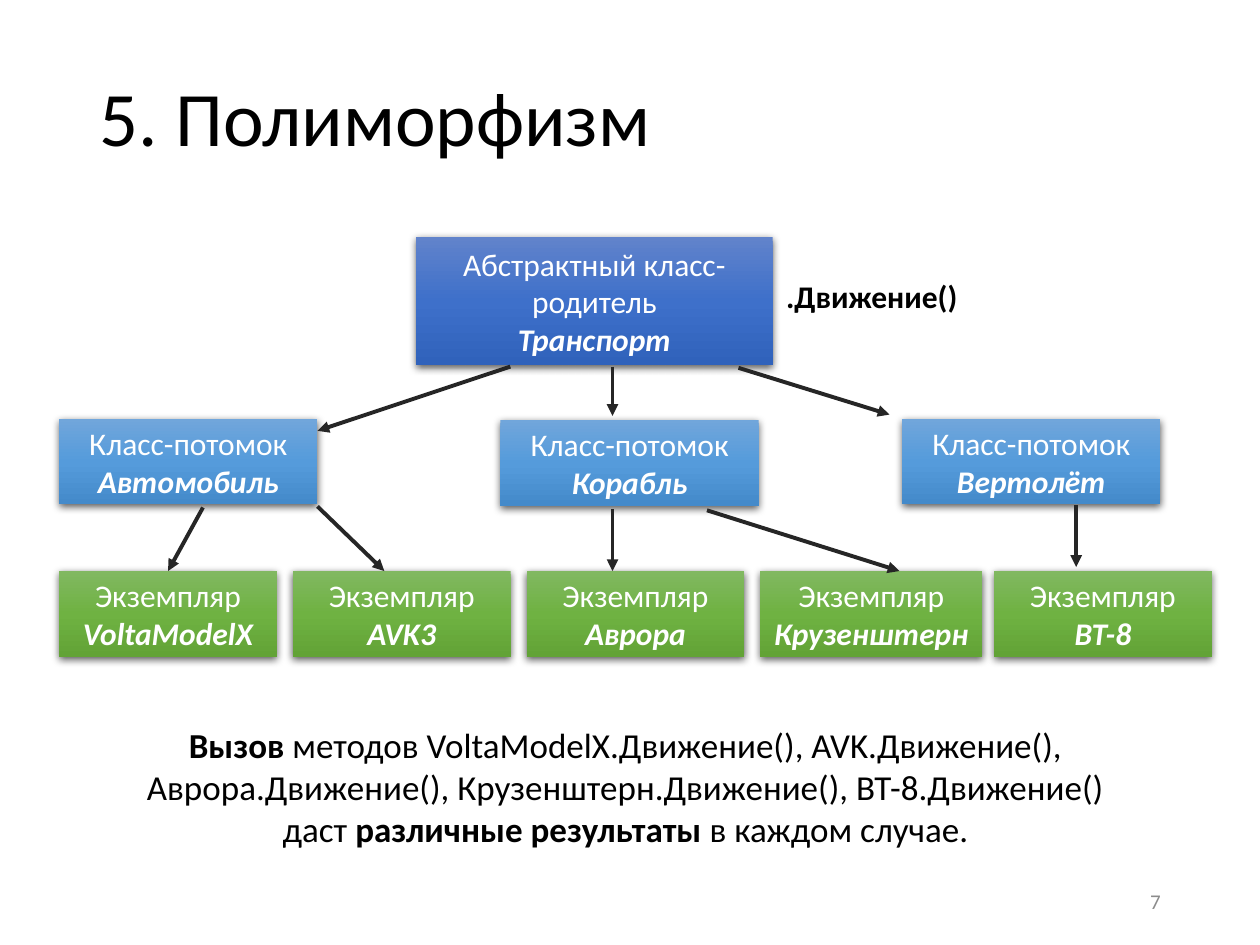
import copy
from dataclasses import dataclass

import pptx
import pptx.dml.color
import pptx.enum.shapes
import pptx.enum.text
import pptx.oxml
import pptx.oxml.ns
import pptx.util

Pt = pptx.util.Pt
RGB = pptx.dml.color.RGBColor.from_string
qn = pptx.oxml.ns.qn
ALIGN = pptx.enum.text.PP_ALIGN
ANCHOR = pptx.enum.text.MSO_ANCHOR
FIT = pptx.enum.text.MSO_AUTO_SIZE
SHADOW = (
    '<a:effectLst %s><a:outerShdw blurRad="57150" dist="19050" dir="5400000" '
    'algn="ctr" rotWithShape="0"><a:srgbClr val="000000"><a:alpha val="63000"/>'
    '</a:srgbClr></a:outerShdw></a:effectLst>' % pptx.oxml.ns.nsdecls("a")
)


@dataclass(frozen=True)
class Theme:
    font: str = "Calibri"
    ink: str = "000000"
    light: str = "FFFFFF"
    grey: str = "8C8C8C"
    line: str = "262626"
    parent: tuple = ("6183CB", "3E70CA", "3062BB")
    child: tuple = ("71A6DB", "559BDB", "448ACA")
    sample: tuple = ("81B861", "6FB242", "62A336")
    title: int = 44
    body: int = 20
    label: int = 18
    small: int = 12
    stroke: float = 2.25


def apply(target, values):
    for name, value in values.items():
        setattr(target, name, value)


class Painter:
    """Holds the theme and the slide being drawn; lengths are in points."""

    def __init__(self, slide, theme):
        self.slide = slide
        self.theme = theme

    def put(self, frame, runs, size, color, align, **form):
        """Fill a frame with (text, font values) runs; a newline is a line break."""
        apply(frame, {"word_wrap": True, **form})
        para = frame.paragraphs[0]
        para.alignment = align
        for text, style in runs:
            for index, part in enumerate(text.split("\n")):
                if index:
                    para.add_line_break()
                if part:
                    run = para.add_run()
                    run.text = part
                    apply(run.font, {"name": self.theme.font, "size": Pt(size), **style})
                    run.font.color.rgb = RGB(color)
        return para

    def title(self, text, left, top, width, height):
        shape = self.slide.shapes.title
        apply(shape, {"left": Pt(left), "top": Pt(top),
                      "width": Pt(width), "height": Pt(height)})
        para = self.put(shape.text_frame, [(text, {})], self.theme.title,
                        self.theme.ink, ALIGN.LEFT, vertical_anchor=ANCHOR.MIDDLE)
        para.line_spacing = 0.9

    def text(self, runs, spot, size, color, align, **form):
        box = self.slide.shapes.add_textbox(*map(Pt, spot))
        self.put(box.text_frame, runs, size, color, align, **form)

    def box(self, kind, name, spot, colors):
        shape = self.slide.shapes.add_shape(
            pptx.enum.shapes.MSO_SHAPE.RECTANGLE, *map(Pt, spot))
        shape.line.fill.background()
        shape.fill.gradient()
        shape.fill.gradient_angle = 270
        props = shape._element.spPr
        stops = props.find(".//" + qn("a:gsLst"))
        stops.append(copy.deepcopy(stops[0]))
        for stop, place, color in zip(shape.fill.gradient_stops, (0, 0.5, 1), colors):
            stop.position = place
            stop.color.rgb = RGB(color)
        props.append(pptx.oxml.parse_xml(SHADOW))
        self.put(shape.text_frame,
                 [(kind + "\n", {}), (name, {"bold": True, "italic": True})],
                 self.theme.label, self.theme.light, ALIGN.CENTER,
                 vertical_anchor=ANCHOR.MIDDLE)
        return shape

    def arrow(self, start, end, goal=None):
        """Draw an arrow; a goal box is joined at the middle of its top side."""
        line = self.slide.shapes.add_connector(
            pptx.enum.shapes.MSO_CONNECTOR.STRAIGHT, *map(Pt, start + end))
        line.line.color.rgb = RGB(self.theme.line)
        line.line.width = Pt(self.theme.stroke)
        props = line._element.spPr
        stroke = props.find(qn("a:ln"))
        stroke.append(stroke.makeelement(qn("a:tailEnd"), {"type": "triangle"}))
        props.append(props.makeelement(qn("a:effectLst"), {}))
        if goal is not None:
            line.end_connect(goal, 0)


def main():
    deck = pptx.Presentation()
    apply(deck, {"slide_width": Pt(720), "slide_height": Pt(540)})
    theme = Theme()
    pen = Painter(deck.slides.add_slide(deck.slide_layouts[5]), theme)

    pen.title("5. Полиморфизм", 49.7, 28.8, 620.6, 81.4)
    pen.text([("7", {})], (508.3, 500.4, 162, 28.8), theme.small, theme.grey,
             ALIGN.RIGHT, vertical_anchor=ANCHOR.MIDDLE)

    bold = {"bold": True}
    pen.text([
        ("Вызов", bold),
        (" методов VoltaModelX.Движение(), AVK.Движение(), Аврора.Движение(), "
         "Крузенштерн.Движение(), ВТ-8.Движение()\nдаст ", {}),
        ("различные результаты ", bold),
        ("в каждом случае.", {}),
    ], (33.8, 409.7, 647.3, 79.9), theme.body, theme.ink, ALIGN.CENTER,
        auto_size=FIT.SHAPE_TO_FIT_TEXT)

    edge, high = 33.8, 49
    pen.box("Абстрактный класс-родитель", "Транспорт",
            (237.8, 135.5, 203.8, 73.4), theme.parent)
    pen.text([(".Движение()", bold)], (442.1, 154.8, 113, 29), theme.label,
             theme.ink, ALIGN.LEFT, word_wrap=False, auto_size=FIT.SHAPE_TO_FIT_TEXT)

    for name, left, top in (("Автомобиль", edge, 239.3),
                            ("Корабль", 286, 240),
                            ("Вертолёт", 515.5, 239.3)):
        pen.box("Класс-потомок", name, (left, top, 147.6, high), theme.child)

    names = ("VoltaModelX", "AVK3", "Аврора", "Крузенштерн", "ВТ-8")
    wide = {"Крузенштерн": 127}
    goals = [
        pen.box("Экземпляр", name,
                (edge + 133.55 * index, 326.3, wide.get(name, 124.5), high),
                theme.sample)
        for index, name in enumerate(names)
    ]

    for start, end, goal in (
        ((291.6, 209.5), (181.4, 246.2), None),
        ((350, 209.5), (350, 237.6), None),
        ((422, 210.2), (508.3, 236.9), None),
        ((116, 290), (96, 326.3), goals[0]),
        ((181.4, 289.4), (219.6, 326.3), None),
        ((350, 291), (350, 326.3), None),
        ((404, 291.6), (514, 326.3), None),
        ((615, 288.7), (615, 324), None),
    ):
        pen.arrow(start, end, goal)

    deck.save("out.pptx")


if __name__ == "__main__":
    main()
